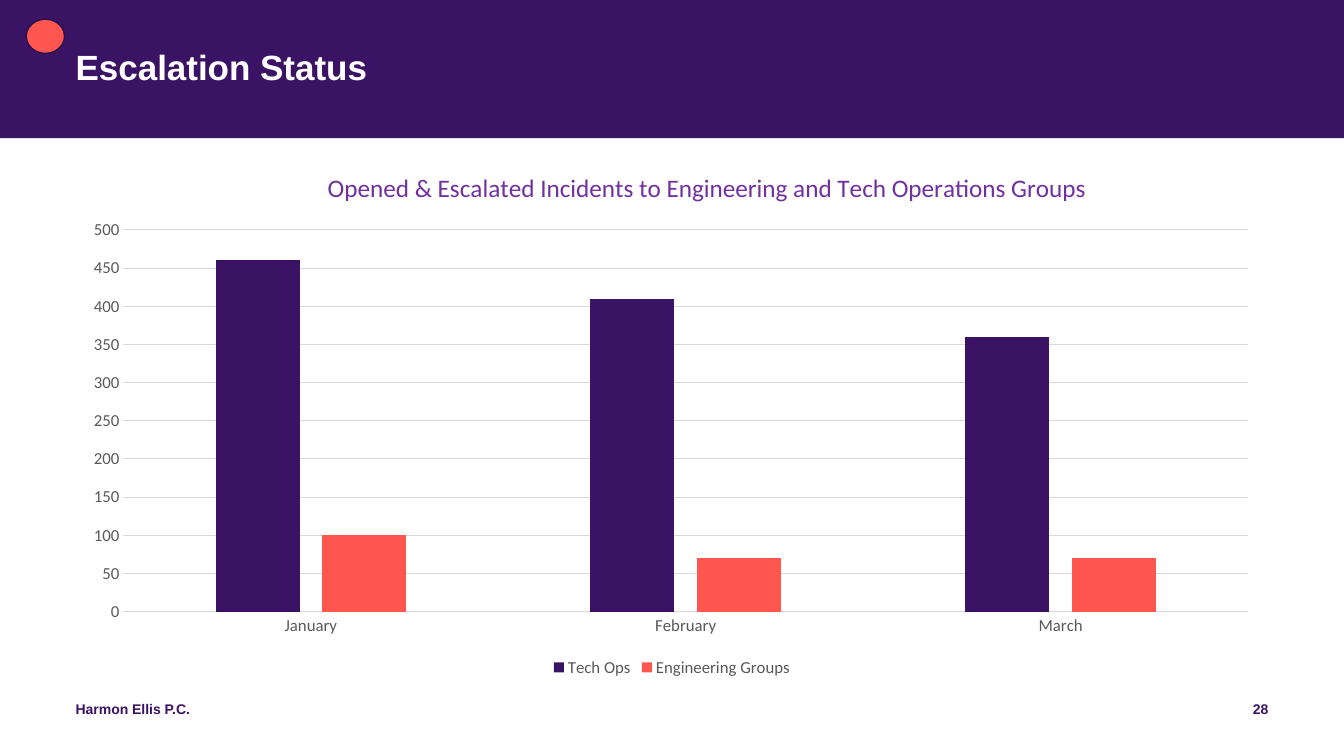
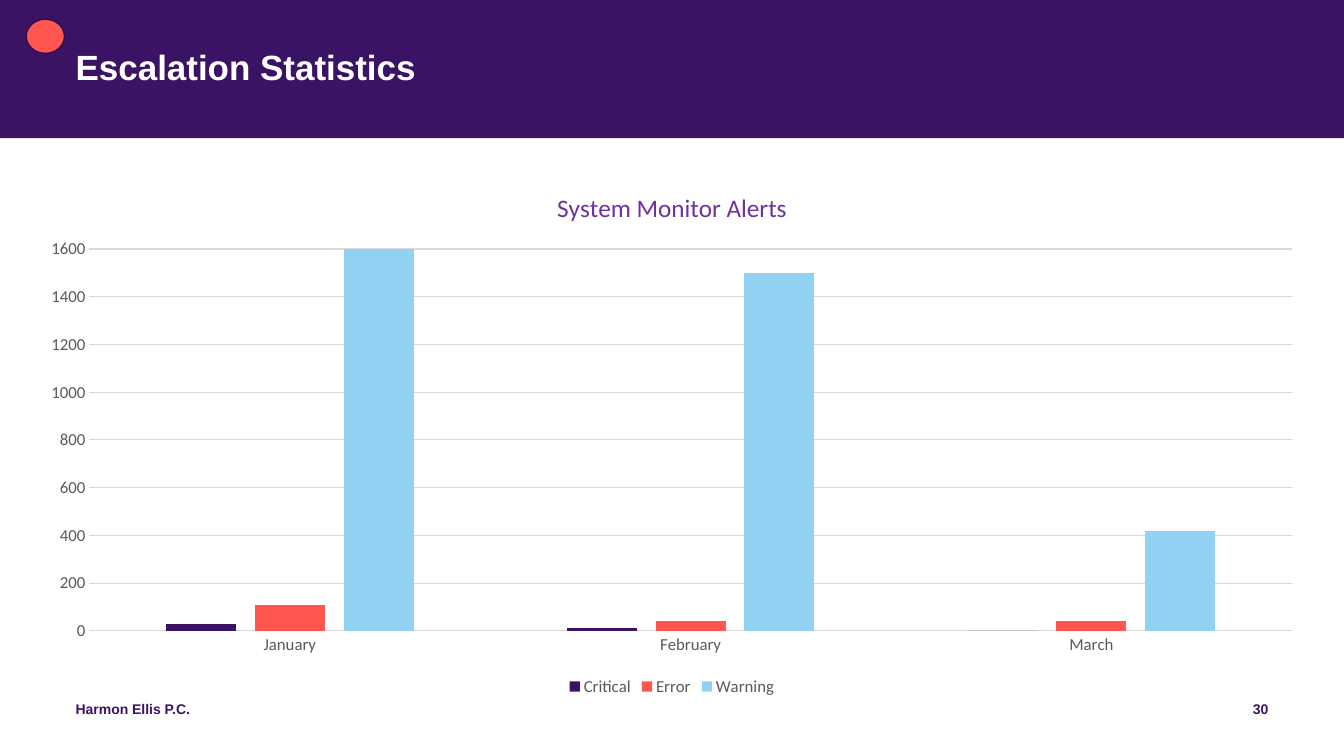
from collections import namedtuple
from dataclasses import dataclass

from pptx import Presentation
from pptx.chart.data import CategoryChartData
from pptx.dml.color import RGBColor
from pptx.enum.chart import XL_CHART_TYPE, XL_LEGEND_POSITION, XL_TICK_MARK
from pptx.enum.shapes import MSO_SHAPE
from pptx.enum.text import MSO_ANCHOR, MSO_AUTO_SIZE, PP_ALIGN
from pptx.oxml import parse_xml
from pptx.oxml.ns import nsdecls, qn
from pptx.util import Inches, Pt

Box = namedtuple("Box", "left top width height")
Report = namedtuple("Report", "heading number box plot title title_at top step series")


@dataclass(frozen=True)
class Theme:
    """Colours, fonts and type sizes of the deck."""

    purple: str = "3B1365"
    outline: str = "2C0E4B"
    coral: str = "FF5750"
    sky: str = "91D2F2"
    white: str = "FFFFFF"
    chart_title: str = "7030A0"
    label: str = "595959"
    grid: str = "D9D9D9"
    text_font: str = "Arial"
    chart_font: str = "Calibri"
    heading_size: int = 25
    footer_size: int = 10
    title_size: int = 18
    label_size: int = 12


THEME = Theme()
SLIDE = Box(0, 0, 13.33, 7.5)
BAND = Box(0, 0, 13.33, 1.37)
DOT = Box(0.26, 0.19, 0.38, 0.34)
HEADING = Box(0.75, 0.5, 11.83, 0.81)
FOOTER = Box(0.75, 6.95, 4.5, 0.4)
NUMBER = Box(9.58, 6.95, 3, 0.4)
MONTHS = ("January", "February", "March")
REPORTS = (
    Report(
        "Escalation Status", "28", Box(0.7, 1.49, 11.93, 5.27), Box(0.53, 0.79, 11.16, 3.79),
        "Opened & Escalated Incidents to Engineering and Tech Operations Groups",
        (0.21, 0.03), 500, 50,
        (("Tech Ops", (460, 410, 360), THEME.purple),
         ("Engineering Groups", (100, 70, 70), THEME.coral)),
    ),
    Report(
        "Escalation Statistics", "30", Box(0.26, 1.68, 12.81, 5.27), Box(0.63, 0.79, 11.92, 3.79),
        "System Monitor Alerts", None, 1600, 200,
        (("Critical", (30, 10, 0), THEME.purple),
         ("Error", (110, 40, 40), THEME.coral),
         ("Warning", (1600, 1500, 420), THEME.sky)),
    ),
)


def apply(target, values):
    """Set each named attribute on the target."""
    for name, value in values.items():
        setattr(target, name, value)


def inches(box):
    """Turn a box into four lengths."""
    return [Inches(length) for length in box]


def style_font(font, face, size, colour, bold=False):
    """Format a font."""
    apply(font, {"name": face, "size": Pt(size), "bold": bold})
    font.color.rgb = RGBColor.from_string(colour)


def write(shape, text, size, colour, paragraph_format):
    """Fill a text shape with one bold line."""
    frame = shape.text_frame
    apply(frame, {"word_wrap": True, "auto_size": MSO_AUTO_SIZE.NONE,
                  "vertical_anchor": MSO_ANCHOR.TOP, "margin_left": 0,
                  "margin_top": 0, "margin_right": 0, "margin_bottom": 0})
    para = frame.paragraphs[0]
    apply(para, paragraph_format)
    span = para.add_run()
    span.text = text
    style_font(span.font, THEME.text_font, size, colour, True)


def add_footer_text(page, box, text, alignment):
    """Add one line of footer text."""
    shape = page.shapes.add_textbox(*inches(box))
    write(shape, text, THEME.footer_size, THEME.purple, {"alignment": alignment})
    return shape


def add_solid(page, kind, box, fill, outline=None):
    """Add a plain filled shape."""
    shape = page.shapes.add_shape(kind, *inches(box))
    shape.shadow.inherit = False
    shape.fill.solid()
    shape.fill.fore_color.rgb = RGBColor.from_string(fill)
    if outline:
        shape.line.width = Pt(1)
        shape.line.color.rgb = RGBColor.from_string(outline)
    else:
        shape.line.fill.background()
    return shape


def build_master(deck, page):
    """Draw the band, dot and footer and move them to the slide master."""
    shared = (
        add_solid(page, MSO_SHAPE.RECTANGLE, BAND, THEME.purple),
        add_solid(page, MSO_SHAPE.OVAL, DOT, THEME.coral, THEME.outline),
        add_footer_text(page, FOOTER, "Harmon Ellis P.C.", PP_ALIGN.LEFT),
    )
    tree = deck.slide_master.shapes._spTree
    for index, shape in enumerate(shared):
        shape._element.nvSpPr.cNvPr.id = 100 + index
        tree.insert(2 + index, shape._element)


def set_layout(parent, index, target, fractions):
    """Give a chart part a manual layout in fractions of the chart."""
    for old in parent.findall(qn("c:layout")):
        parent.remove(old)
    values = dict(zip(("x", "y", "w", "h"), fractions))
    parts = f'<c:layoutTarget val="{target}"/>' if target else ""
    parts += '<c:xMode val="edge"/><c:yMode val="edge"/>'
    parts += "".join(f'<c:{name} val="{value:.3f}"/>' for name, value in values.items())
    parent.insert(index, parse_xml(
        f'<c:layout {nsdecls("c")}><c:manualLayout>{parts}</c:manualLayout></c:layout>'))


def style_axes(chart, top, step):
    """Format the category axis, value axis and gridlines."""
    for axis in (chart.category_axis, chart.value_axis):
        apply(axis, {"major_tick_mark": XL_TICK_MARK.NONE,
                     "minor_tick_mark": XL_TICK_MARK.NONE})
        style_font(axis.tick_labels.font, THEME.chart_font, THEME.label_size, THEME.label)
    apply(chart.value_axis, {"minimum_scale": 0, "maximum_scale": top,
                             "major_unit": step, "has_major_gridlines": True})
    chart.value_axis.format.line.fill.background()
    for line in (chart.category_axis.format.line,
                 chart.value_axis.major_gridlines.format.line):
        line.width = Pt(0.75)
        line.color.rgb = RGBColor.from_string(THEME.grid)


def add_column_chart(page, report):
    """Add the report's clustered columns with title and legend."""
    data = CategoryChartData()
    data.categories = MONTHS
    for name, values, _ in report.series:
        data.add_series(name, values)
    box = report.box
    chart = page.shapes.add_chart(XL_CHART_TYPE.COLUMN_CLUSTERED, *inches(box), data).chart
    style_font(chart.font, THEME.chart_font, THEME.label_size, THEME.label)
    apply(chart, {"has_title": True, "has_legend": True})
    apply(chart.legend, {"position": XL_LEGEND_POSITION.BOTTOM, "include_in_layout": False})
    style_font(chart.legend.font, THEME.chart_font, THEME.label_size, THEME.label)
    style_axes(chart, report.top, report.step)

    span = chart.chart_title.text_frame.paragraphs[0].add_run()
    span.text = report.title
    style_font(span.font, THEME.chart_font, THEME.title_size, THEME.chart_title)
    if report.title_at:
        set_layout(chart.chart_title._element, 1, None, report.title_at)

    plot = chart.plots[0]
    apply(plot, {"gap_width": 219, "overlap": -27, "vary_by_categories": False})
    for series, (_, _, colour) in zip(plot.series, report.series):
        series.format.fill.solid()
        series.format.fill.fore_color.rgb = RGBColor.from_string(colour)
    area = report.plot
    set_layout(chart._chartSpace.chart.plotArea, 0, "inner",
               (area.left / box.width, area.top / box.height,
                area.width / box.width, area.height / box.height))


def build_report(page, report):
    """Fill a page with its heading, chart and page number."""
    title = page.shapes.title
    apply(title, dict(zip(Box._fields, inches(HEADING))))
    write(title, report.heading, THEME.heading_size, THEME.white,
          {"alignment": PP_ALIGN.LEFT, "line_spacing": 0.9})
    add_column_chart(page, report)
    add_footer_text(page, NUMBER, report.number, PP_ALIGN.RIGHT)


def main():
    """Build and save the deck."""
    deck = Presentation()
    apply(deck, {"slide_width": Inches(SLIDE.width), "slide_height": Inches(SLIDE.height)})
    pages = [deck.slides.add_slide(deck.slide_layouts[5]) for _ in REPORTS]
    build_master(deck, pages[0])
    for page, report in zip(pages, REPORTS):
        build_report(page, report)
    deck.save("out.pptx")


if __name__ == "__main__":
    main()
